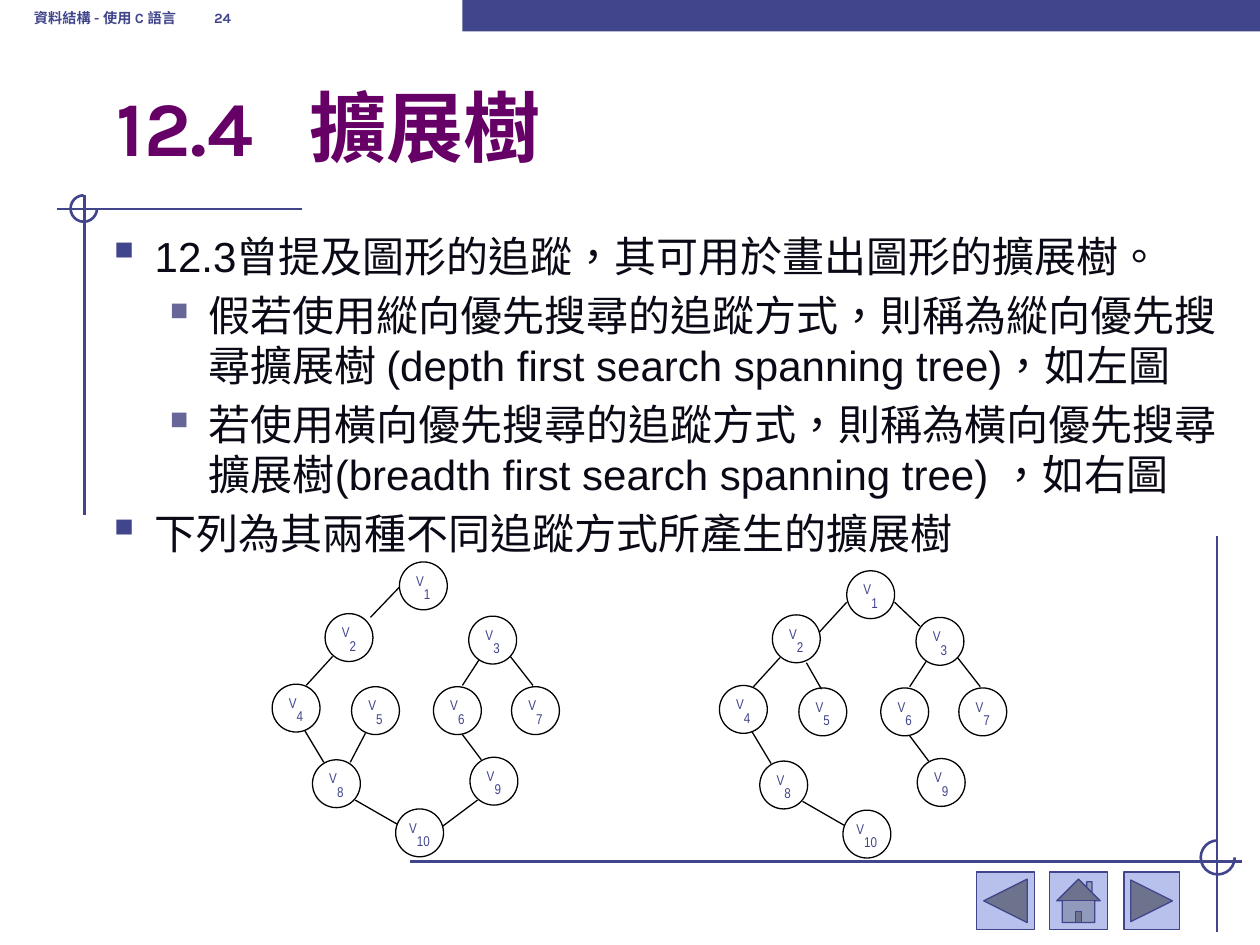
from dataclasses import dataclass
from typing import NamedTuple, Optional

from lxml.etree import SubElement
from pptx import Presentation
from pptx.dml.color import RGBColor
from pptx.enum.lang import MSO_LANGUAGE_ID
from pptx.enum.shapes import MSO_CONNECTOR, MSO_SHAPE
from pptx.enum.text import MSO_ANCHOR, PP_ALIGN
from pptx.oxml.ns import qn
from pptx.util import Inches, Pt

COLUMNS, ROWS = 100, 75
SLIDE_WIDTH, SLIDE_HEIGHT = Inches(10), Inches(7.5)


@dataclass(frozen=True)
class Theme:
    navy: str = "40458C"
    pale: str = "B7C1EB"
    purple: str = "660066"
    ink: str = "090A15"
    slate: str = "666699"
    black: str = "000000"
    display: str = "Karla"
    body: str = "Arial"
    narrow: str = "Arial Narrow"
    title_size: int = 44
    body_size: int = 24
    small_size: int = 14
    thin: float = 0.75
    thick: float = 1.5
    raised: int = 30
    lowered: int = -25


class Box(NamedTuple):
    column: float
    row: float
    width: float
    height: float


class Segment(NamedTuple):
    column: float
    row: float
    end_column: float
    end_row: float


class Bullet(NamedTuple):
    level: int
    margin: float
    hanging: float
    character: str
    color: str
    percent: int


class Tree(NamedTuple):
    column: float
    row: float
    root_row: float
    edges: list[Segment]


THEME = Theme()
MAIN = Bullet(0, 3.8, 3.8, "▪", THEME.navy, 110)
SUB = Bullet(1, 8.1, 3.1, "■", THEME.slate, 60)

BODY = [
    (MAIN, "12.3曾提及圖形的追蹤，其可用於畫出圖形的擴展樹。"),
    (SUB, "假若使用縱向優先搜尋的追蹤方式，則稱為縱向優先搜尋擴展樹 (depth first search spanning tree)，如左圖"),
    (SUB, "若使用橫向優先搜尋的追蹤方式，則稱為橫向優先搜尋擴展樹(breadth first search spanning tree) ，如右圖"),
    (MAIN, "下列為其兩種不同追蹤方式所產生的擴展樹"),
]

NODE_SIZE = 3.8
ROOT_COLUMN = 31.7
NODES = {2: (25.8, 48.7), 3: (37.2, 48.9), 4: (21.6, 54.3), 5: (27.9, 54.5), 6: (34.4, 54.5),
         7: (40.6, 54.5), 8: (24.8, 60.3), 9: (37.3, 60.1), 10: (31.4, 64.2)}
SHARED_EDGES = [Segment(26.4, 52.1, 24.3, 54.4), Segment(38, 52.4, 36.7, 54.4),
                Segment(40.5, 52.1, 42.3, 54.4), Segment(24.2, 58, 25.7, 60.5),
                Segment(36.7, 58.3, 38.2, 60.3), Segment(28.2, 63.5, 31.5, 65.4)]
TREES = [
    Tree(0, 0, 44.6, [Segment(31.7, 46.6, 29.4, 49), Segment(27.8, 60.5, 29, 58.2),
                      Segment(37.9, 63.5, 35.1, 65.6)]),
    Tree(35.5, 0.1, 45.2, [Segment(31.7, 47.7, 29.5, 50.1), Segment(35.5, 47.7, 37.5, 49.6),
                           Segment(28.5, 52.5, 29.7, 54.6)]),
]

RULES = [Segment(24, 16.6, 4.5, 16.6), Segment(6.7, 15.5, 6.7, 40.9),
         Segment(32.5, 68.4, 98.6, 68.4), Segment(96.6, 42.5, 96.6, 74)]
RINGS = [Box(5.6, 15.5, 2.1, 2.1), Box(95.3, 66.7, 2.7, 2.7)]
BUTTONS = [
    (MSO_SHAPE.ACTION_BUTTON_HOME, Box(83.3, 69.2, 4.6, 4.6)),
    (MSO_SHAPE.ACTION_BUTTON_FORWARD_OR_NEXT, Box(89.2, 69.2, 4.4, 4.6)),
    (MSO_SHAPE.ACTION_BUTTON_BACK_OR_PREVIOUS, Box(77.5, 69.2, 4.6, 4.6)),
]


def across(columns: float) -> int:
    return round(SLIDE_WIDTH * columns / COLUMNS)


def down(rows: float) -> int:
    return round(SLIDE_HEIGHT * rows / ROWS)


def place(box: Box) -> tuple[int, int, int, int]:
    return across(box.column), down(box.row), across(box.width), down(box.height)


def add_text(paragraph, text: str, *, font: str, size: int, color: str,
             bold: bool = False, baseline: int = 0) -> None:
    run = paragraph.add_run()
    run.text = text
    run.font.name = font
    run.font.size = Pt(size)
    run.font.bold = bold
    run.font.color.rgb = RGBColor.from_string(color)
    run.font.language_id = MSO_LANGUAGE_ID.TRADITIONAL_CHINESE
    if baseline:
        run._r.get_or_add_rPr().set("baseline", str(baseline * 1000))


def add_frame(slide, box: Box, anchor: MSO_ANCHOR):
    frame = slide.shapes.add_textbox(*place(box)).text_frame
    frame.word_wrap = True
    frame.vertical_anchor = anchor
    return frame


def add_tab_stop(paragraph, column: float) -> None:
    tabs = SubElement(paragraph._p.get_or_add_pPr(), qn("a:tabLst"))
    SubElement(tabs, qn("a:tab"), pos=str(across(column)), algn="l")


def add_bullet(paragraph, bullet: Bullet) -> None:
    paragraph.level = bullet.level
    properties = paragraph._p.get_or_add_pPr()
    properties.set("marL", str(across(bullet.margin)))
    properties.set("indent", str(-across(bullet.hanging)))
    color = SubElement(properties, qn("a:buClr"))
    SubElement(color, qn("a:srgbClr"), val=bullet.color)
    SubElement(properties, qn("a:buSzPct"), val=str(bullet.percent * 1000))
    SubElement(properties, qn("a:buChar"), char=bullet.character)


def add_preset(slide, preset: MSO_SHAPE, box: Box, fill: Optional[str] = None,
               line: Optional[str] = None, weight: float = THEME.thin):
    shape = slide.shapes.add_shape(preset, *place(box))
    shape.shadow.inherit = False
    if fill:
        shape.fill.solid()
        shape.fill.fore_color.rgb = RGBColor.from_string(fill)
    else:
        shape.fill.background()
    if line:
        shape.line.color.rgb = RGBColor.from_string(line)
        shape.line.width = Pt(weight)
    else:
        shape.line.fill.background()
    return shape


def add_line(slide, segment: Segment, color: str, weight: float) -> None:
    connector = slide.shapes.add_connector(
        MSO_CONNECTOR.STRAIGHT, across(segment.column), down(segment.row),
        across(segment.end_column), down(segment.end_row))
    connector.line.color.rgb = RGBColor.from_string(color)
    connector.line.width = Pt(weight)
    SubElement(connector._element.spPr, qn("a:effectLst"))


def add_node(slide, number: int, column: float, row: float) -> None:
    shape = add_preset(slide, MSO_SHAPE.OVAL, Box(column, row, NODE_SIZE, NODE_SIZE), line=THEME.black)
    frame = shape.text_frame
    frame.margin_left = frame.margin_right = frame.margin_top = frame.margin_bottom = 0
    frame.vertical_anchor = MSO_ANCHOR.TOP
    paragraph = frame.paragraphs[0]
    paragraph.alignment = PP_ALIGN.CENTER
    paragraph.line_spacing = 0.96
    for text, baseline in (("V", THEME.raised), (str(number), THEME.lowered)):
        add_text(paragraph, text, font=THEME.narrow, size=THEME.small_size,
                 color=THEME.navy, baseline=baseline)


def add_tree(slide, tree: Tree) -> None:
    for number, (column, row) in {1: (ROOT_COLUMN, tree.root_row), **NODES}.items():
        add_node(slide, number, column + tree.column, row + tree.row)
    for edge in SHARED_EDGES + tree.edges:
        moved = Segment(edge.column + tree.column, edge.row + tree.row,
                        edge.end_column + tree.column, edge.end_row + tree.row)
        add_line(slide, moved, THEME.black, THEME.thin)


def add_decoration(slide) -> None:
    add_preset(slide, MSO_SHAPE.RECTANGLE, Box(36.7, 0, 63.3, 2.5), fill=THEME.navy)
    for rule in RULES:
        add_line(slide, rule, THEME.navy, THEME.thick)
    for box in RINGS:
        ring = add_preset(slide, MSO_SHAPE.ARC, box, line=THEME.navy, weight=THEME.thick)
        ring.adjustments[0], ring.adjustments[1] = 0, 270 * 0.6
    for preset, box in BUTTONS:
        add_preset(slide, preset, box, fill=THEME.pale, line=THEME.navy)


def add_wording(slide) -> None:
    header = add_frame(slide, Box(1.7, -1.7, 30.8, 5), MSO_ANCHOR.BOTTOM).paragraphs[0]
    add_tab_stop(header, 14.3)
    add_text(header, "資料結構 - 使用 C 語言\t24", font=THEME.display, size=THEME.small_size,
             color=THEME.navy, bold=True, baseline=THEME.raised)
    title = add_frame(slide, Box(8.3, 5.8, 85, 8.3), MSO_ANCHOR.BOTTOM).paragraphs[0]
    add_tab_stop(title, 15.3)
    add_text(title, "12.4\t擴展樹", font=THEME.display, size=THEME.title_size,
             color=THEME.purple, bold=True)
    frame = add_frame(slide, Box(7.5, 17.8, 90.6, 48.8), MSO_ANCHOR.TOP)
    for index, (bullet, text) in enumerate(BODY):
        paragraph = frame.add_paragraph() if index else frame.paragraphs[0]
        add_bullet(paragraph, bullet)
        if index:
            paragraph.space_before = Pt(4.8)
        add_text(paragraph, text, font=THEME.body, size=THEME.body_size, color=THEME.ink)


def main() -> None:
    presentation = Presentation()
    presentation.slide_width, presentation.slide_height = SLIDE_WIDTH, SLIDE_HEIGHT
    slide = presentation.slides.add_slide(presentation.slide_layouts[6])
    add_decoration(slide)
    add_wording(slide)
    for tree in TREES:
        add_tree(slide, tree)
    presentation.save("out.pptx")


if __name__ == "__main__":
    main()
